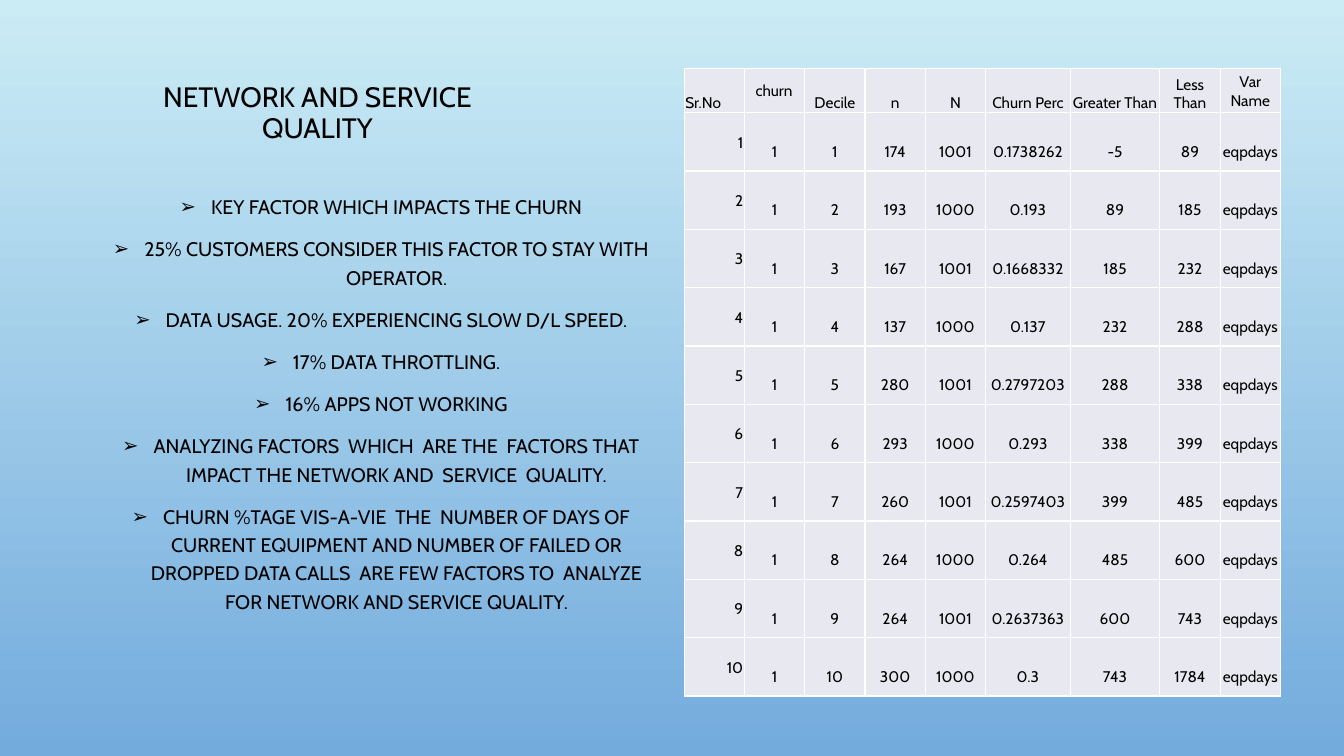
import dataclasses

import lxml.etree
import pptx
import pptx.dml.color
import pptx.enum.text
import pptx.oxml.ns
import pptx.util

Cm = pptx.util.Cm
Pt = pptx.util.Pt
Align = pptx.enum.text.PP_ALIGN
Anchor = pptx.enum.text.MSO_ANCHOR

FONT = "Cabin"
COLORS = {
    "sky": "CBECF5",
    "blue": "73ABDD",
    "cell": "E8E9F0",
    "border": "FFFFFF",
    "text": "000000",
}
BULLETS = [
    "KEY FACTOR WHICH IMPACTS THE CHURN",
    "25% CUSTOMERS CONSIDER THIS FACTOR TO STAY WITH OPERATOR.",
    "DATA USAGE. 20% EXPERIENCING SLOW D/L SPEED.",
    "17% DATA THROTTLING.",
    "16% APPS NOT WORKING",
    "ANALYZING FACTORS  WHICH  ARE THE  FACTORS THAT IMPACT THE NETWORK AND  SERVICE  QUALITY.",
    "CHURN %TAGE VIS-A-VIE  THE  NUMBER OF DAYS OF CURRENT EQUIPMENT AND NUMBER OF FAILED OR "
    "DROPPED DATA CALLS  ARE FEW FACTORS TO  ANALYZE FOR NETWORK AND SERVICE QUALITY.",
]
HEADER_HEIGHT, ROW_HEIGHT = 1.11, 1.47
CELL_MARGIN, CHURN_INDENT, VALUE_DROP = 0.03, 0.28, 0.5


@dataclasses.dataclass
class Column:
    heading: str
    width: float = 1.52
    align: Align = Align.CENTER
    anchor: Anchor = Anchor.BOTTOM
    indent: float = CELL_MARGIN


@dataclasses.dataclass
class Decile:
    churned: int
    total: int
    rate: str
    above: int
    below: int


COLUMNS = [
    Column("Sr.No", align=Align.LEFT),
    Column("churn", align=Align.LEFT, anchor=Anchor.MIDDLE, indent=CHURN_INDENT),
    Column("Decile"),
    Column("n"),
    Column("N"),
    Column("Churn Perc", width=2.13),
    Column("Greater Than", width=2.26),
    Column("Less Than"),
    Column("Var Name", anchor=Anchor.MIDDLE),
]
DECILES = [
    Decile(174, 1001, "0.1738262", -5, 89),
    Decile(193, 1000, "0.193", 89, 185),
    Decile(167, 1001, "0.1668332", 185, 232),
    Decile(137, 1000, "0.137", 232, 288),
    Decile(280, 1001, "0.2797203", 288, 338),
    Decile(293, 1000, "0.293", 338, 399),
    Decile(260, 1001, "0.2597403", 399, 485),
    Decile(264, 1000, "0.264", 485, 600),
    Decile(264, 1001, "0.2637363", 600, 743),
    Decile(300, 1000, "0.3", 743, 1784),
]


def rgb(name: str) -> pptx.dml.color.RGBColor:
    return pptx.dml.color.RGBColor.from_string(COLORS[name])


def add_element(parent, tag: str, **attributes: str):
    return lxml.etree.SubElement(parent, pptx.oxml.ns.qn(tag), attributes)


def format_runs(paragraph, size: float) -> None:
    for run in paragraph.runs:
        run.font.name = FONT
        run.font.size = Pt(size)
        run.font.bold = False
        run.font.color.rgb = rgb("text")


def place(shape, left: float, top: float, width: float, height: float) -> None:
    shape.left, shape.top = Cm(left), Cm(top)
    shape.width, shape.height = Cm(width), Cm(height)


def paint_background(slide) -> None:
    fill = slide.background.fill
    fill.gradient()
    fill.gradient_angle = 270
    for stop, position, name in zip(fill.gradient_stops, (0, 1), ("sky", "blue")):
        stop.position = position
        stop.color.rgb = rgb(name)


def fill_title(title) -> None:
    place(title, 2.54, 1.7, 10.92, 2.06)
    frame = title.text_frame
    frame.text = "NETWORK AND SERVICE QUALITY"
    frame.word_wrap = True
    frame.auto_size = pptx.enum.text.MSO_AUTO_SIZE.NONE
    frame.vertical_anchor = Anchor.BOTTOM
    paragraph = frame.paragraphs[0]
    paragraph.alignment = Align.CENTER
    paragraph.line_spacing = 0.9
    format_runs(paragraph, 20)


def fill_factors(body) -> None:
    place(body, 2.54, 4.67, 14.12, 13.64)
    frame = body.text_frame
    frame.text = "\n".join(BULLETS)
    frame.word_wrap = True
    frame.auto_size = pptx.enum.text.MSO_AUTO_SIZE.NONE
    frame.vertical_anchor = Anchor.TOP
    for index, paragraph in enumerate(frame.paragraphs):
        properties = paragraph._p.get_or_add_pPr()
        properties.set("marL", str(Cm(0.79)))
        properties.set("indent", str(-Cm(0.79)))
        bullet_color = add_element(properties, "a:buClr")
        add_element(bullet_color, "a:srgbClr", val=COLORS["text"])
        add_element(properties, "a:buChar", char="➢")
        paragraph.alignment = Align.CENTER
        paragraph.line_spacing = 1.2
        paragraph.space_before = Pt(10 if index else 0)
        paragraph.space_after = Pt(0)
        format_runs(paragraph, 14)


def fill_cell(cell, text: str, align: Align, anchor: Anchor,
              left: float = CELL_MARGIN, top: float = CELL_MARGIN) -> None:
    cell.text_frame.text = text
    cell.vertical_anchor = anchor
    cell.margin_left, cell.margin_right = Cm(left), Cm(CELL_MARGIN)
    cell.margin_top, cell.margin_bottom = Cm(top), 0
    properties = cell._tc.get_or_add_tcPr()
    for side in ("a:lnL", "a:lnR", "a:lnT", "a:lnB"):
        line = add_element(properties, side, w=str(Pt(1)))
        add_element(add_element(line, "a:solidFill"), "a:srgbClr", val=COLORS["border"])
    cell.fill.solid()
    cell.fill.fore_color.rgb = rgb("cell")
    paragraph = cell.text_frame.paragraphs[0]
    paragraph.alignment = align
    format_runs(paragraph, 11)


def add_decile_table(slide) -> None:
    width = sum(column.width for column in COLUMNS)
    height = HEADER_HEIGHT + ROW_HEIGHT * len(DECILES)
    table = slide.shapes.add_table(
        len(DECILES) + 1, len(COLUMNS), Cm(17.24), Cm(1.73), Cm(width), Cm(height)
    ).table
    table.rows[0].height = Cm(HEADER_HEIGHT)
    for index, column in enumerate(COLUMNS):
        table.columns[index].width = Cm(column.width)
        fill_cell(table.cell(0, index), column.heading, column.align, column.anchor, column.indent)
    for number, decile in enumerate(DECILES, start=1):
        table.rows[number].height = Cm(ROW_HEIGHT)
        fill_cell(table.cell(number, 0), str(number), Align.RIGHT, Anchor.MIDDLE)
        values = (1, number, *dataclasses.astuple(decile), "eqpdays")
        for index, value in enumerate(values, start=1):
            fill_cell(table.cell(number, index), str(value), Align.CENTER, Anchor.MIDDLE,
                      top=VALUE_DROP)


def main() -> None:
    presentation = pptx.Presentation()
    presentation.slide_width, presentation.slide_height = Cm(33.87), Cm(19.05)
    slide = presentation.slides.add_slide(presentation.slide_layouts[1])
    paint_background(slide)
    fill_title(slide.shapes.title)
    fill_factors(slide.placeholders[1])
    add_decile_table(slide)
    presentation.save("out.pptx")


if __name__ == "__main__":
    main()
